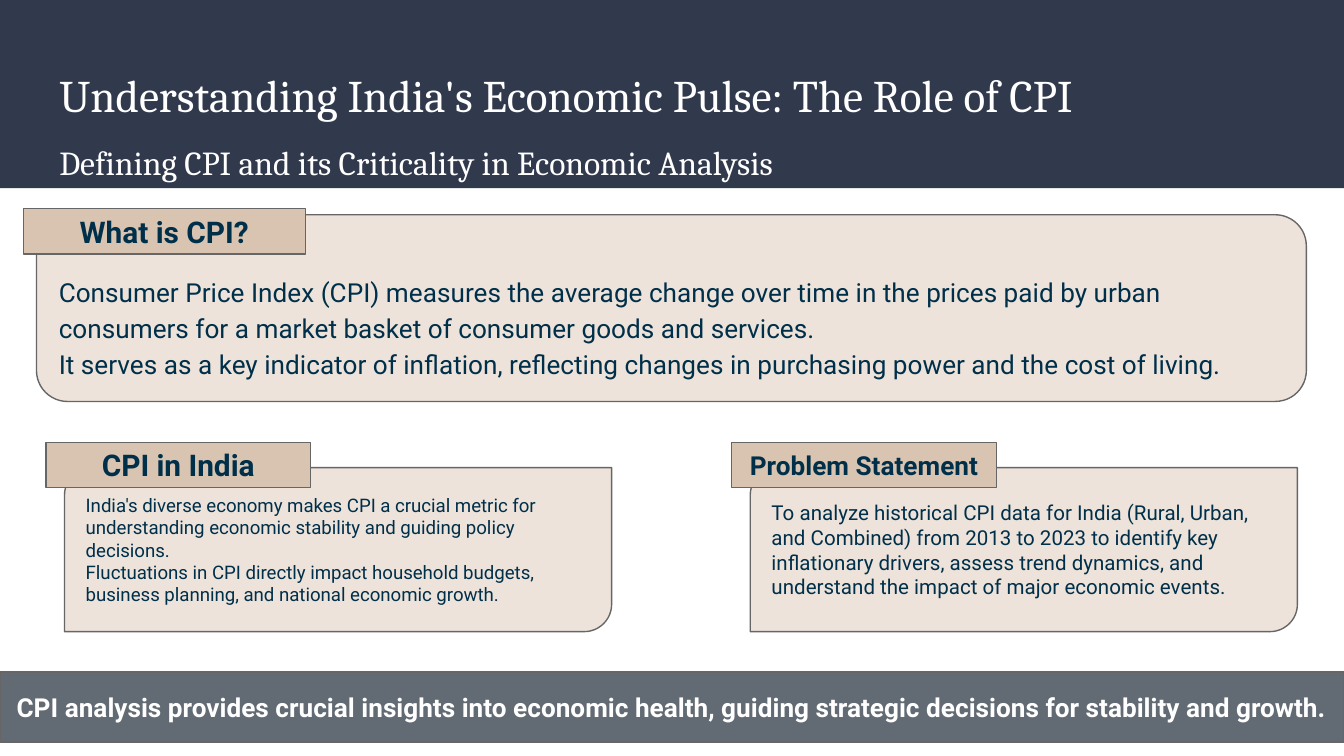
from pptx import Presentation
from pptx.dml.color import RGBColor
from pptx.enum.shapes import MSO_SHAPE as Shape
from pptx.enum.text import MSO_ANCHOR as Anchor, MSO_AUTO_SIZE as AutoSize, PP_ALIGN as Align
from pptx.util import Cm, Pt

NAVY = RGBColor(0x31, 0x39, 0x4D)
INK = RGBColor(0x00, 0x2F, 0x4A)
CREAM = RGBColor(0xED, 0xE3, 0xDA)
TAN = RGBColor(0xD9, 0xC4, 0xB1)
SLATE = RGBColor(0x62, 0x6B, 0x73)
OUTLINE = RGBColor(0x66, 0x66, 0x66)
WHITE = RGBColor(0xFF, 0xFF, 0xFF)

PAGE_WIDTH, PAGE_HEIGHT = 25.4, 14.29
INSET = 0.25


def write_text(shape, lines, sizes, font="Roboto", color=INK, bold=False,
               align=Align.LEFT, anchor=Anchor.MIDDLE, spacing=1.0, top=INSET):
    """Fill a shape with one paragraph for each line."""
    frame = shape.text_frame
    frame.word_wrap = True
    frame.auto_size = AutoSize.NONE
    frame.vertical_anchor = anchor
    frame.margin_left = frame.margin_right = frame.margin_bottom = Cm(INSET)
    frame.margin_top = Cm(top)
    for index, (line, size) in enumerate(zip(lines, sizes)):
        para = frame.add_paragraph() if index else frame.paragraphs[0]
        para.alignment = align
        para.line_spacing = spacing
        para.space_before = para.space_after = Pt(0)
        span = para.add_run()
        span.text = line
        span.font.name = font
        span.font.size = Pt(size)
        span.font.bold = bold
        span.font.color.rgb = color


def add_box(shapes, kind, box, fill, line=OUTLINE):
    """Draw a flat preset shape; box is left, top, width, height in cm."""
    shape = shapes.add_shape(kind, *map(Cm, box))
    shape.shadow.inherit = False
    shape.fill.solid()
    shape.fill.fore_color.rgb = fill
    if line is None:
        shape.line.fill.background()
    else:
        shape.line.color.rgb = line
        shape.line.width = Pt(0.75)
    return shape


def add_header(page, box, heading, subheading):
    """Dark band with the title placeholder in front of it."""
    left, top, width, height = box
    band = add_box(page.shapes, Shape.RECTANGLE, box, NAVY, line=None)
    title = page.shapes.title
    title.element.addprevious(band.element)
    title.left, title.top = Cm(left + 0.87), Cm(top + 0.51)
    title.width, title.height = Cm(width - 1.74), Cm(height - 0.82)
    write_text(title, [heading, subheading], [24.2, 18], font="Cambria",
               color=WHITE, anchor=Anchor.TOP, spacing=1.5)


def add_card(page, box, label, lines, size, kind=Shape.ROUND_2_DIAG_RECTANGLE,
             tag_shift=(-0.35, -0.48), tag_width=5.0, label_size=16, **text_format):
    """Cream panel with a tan label over its top left corner."""
    group = page.shapes.add_group_shape()
    panel = add_box(group.shapes, kind, box, CREAM)
    write_text(panel, lines, [size] * len(lines), **text_format)
    tag_box = (box[0] + tag_shift[0], box[1] + tag_shift[1], tag_width, 0.86)
    tag = add_box(group.shapes, Shape.RECTANGLE, tag_box, TAN)
    write_text(tag, [label], [label_size], bold=True, align=Align.CENTER)


def add_takeaway(page, box, text):
    """Closing statement on a full-width bar."""
    bar = add_box(page.shapes, Shape.RECTANGLE, box, SLATE)
    write_text(bar, [text], [14], color=WHITE, bold=True, align=Align.CENTER)


def main():
    deck = Presentation()
    deck.slide_width, deck.slide_height = Cm(PAGE_WIDTH), Cm(PAGE_HEIGHT)
    page = deck.slides.add_slide(deck.slide_layouts.get_by_name("Title Only"))

    add_header(page, (0, 0, PAGE_WIDTH, 3.56),
               "Understanding India's Economic Pulse: The Role of CPI",
               "Defining CPI and its Criticality in Economic Analysis")

    # Definition; the deep top inset keeps its text clear of the label
    add_card(page, (0.69, 4.06, 24.0, 3.53), "What is CPI?", [
        "Consumer Price Index (CPI) measures the average change over time in the "
        "prices paid by urban consumers for a market basket of consumer goods and services.",
        "It serves as a key indicator of inflation, reflecting changes in purchasing "
        "power and the cost of living.",
    ], 14, kind=Shape.ROUNDED_RECTANGLE, tag_shift=(-0.25, -0.12), tag_width=5.33,
        spacing=1.15, top=0.93)

    # Two cards side by side
    add_card(page, (1.22, 8.84, 10.34, 3.1), "CPI in India", [
        "India's diverse economy makes CPI a crucial metric for understanding "
        "economic stability and guiding policy decisions.",
        "Fluctuations in CPI directly impact household budgets, business planning, "
        "and national economic growth.",
    ], 10)
    add_card(page, (14.18, 8.84, 10.34, 3.1), "Problem Statement", [
        "To analyze historical CPI data for India (Rural, Urban, and Combined) from "
        "2013 to 2023 to identify key inflationary drivers, assess trend dynamics, "
        "and understand the impact of major economic events.",
    ], 11, label_size=14)

    add_takeaway(page, (0, 12.7, PAGE_WIDTH, 1.33),
                 "CPI analysis provides crucial insights into economic health, "
                 "guiding strategic decisions for stability and growth.")

    deck.save("out.pptx")


if __name__ == "__main__":
    main()
